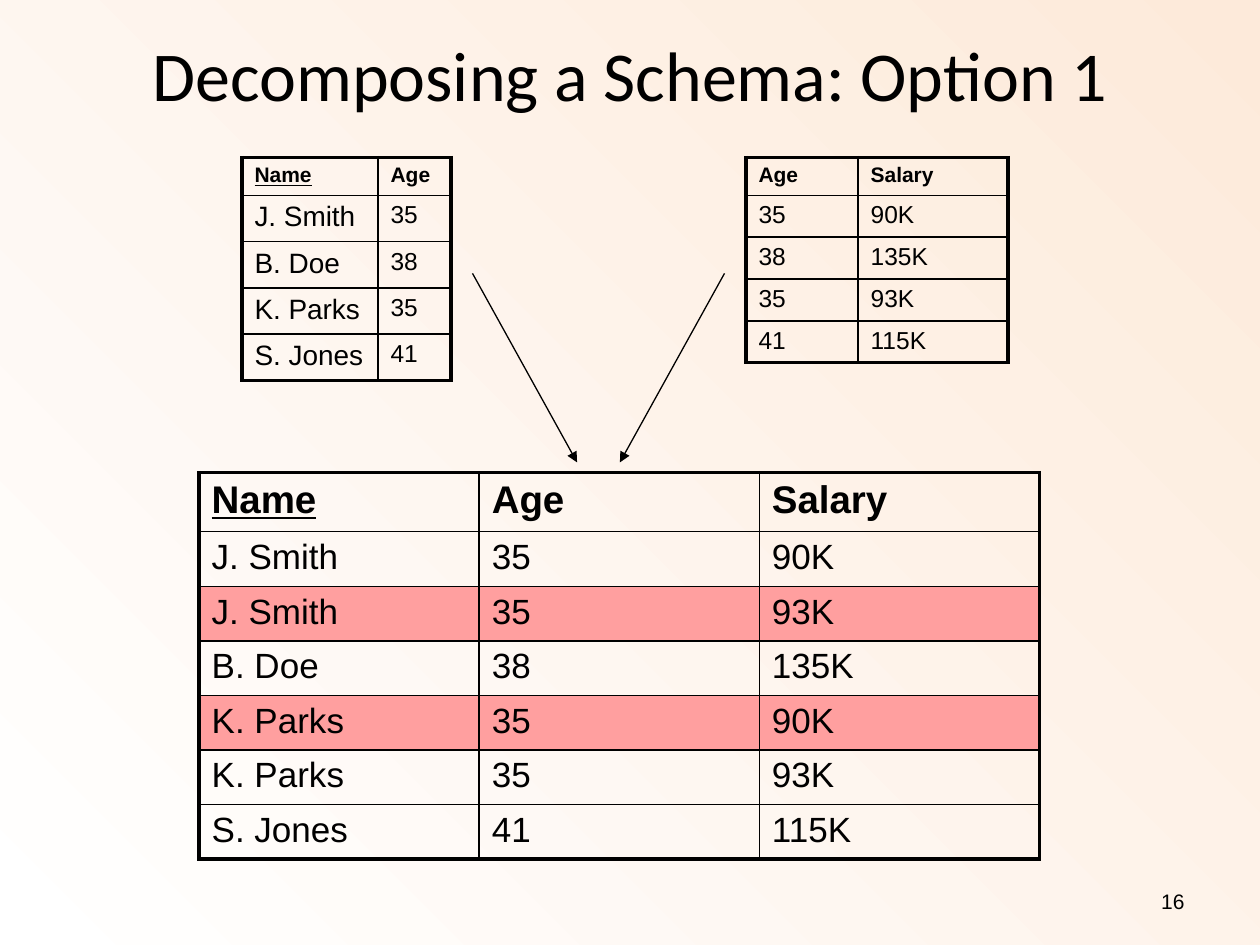
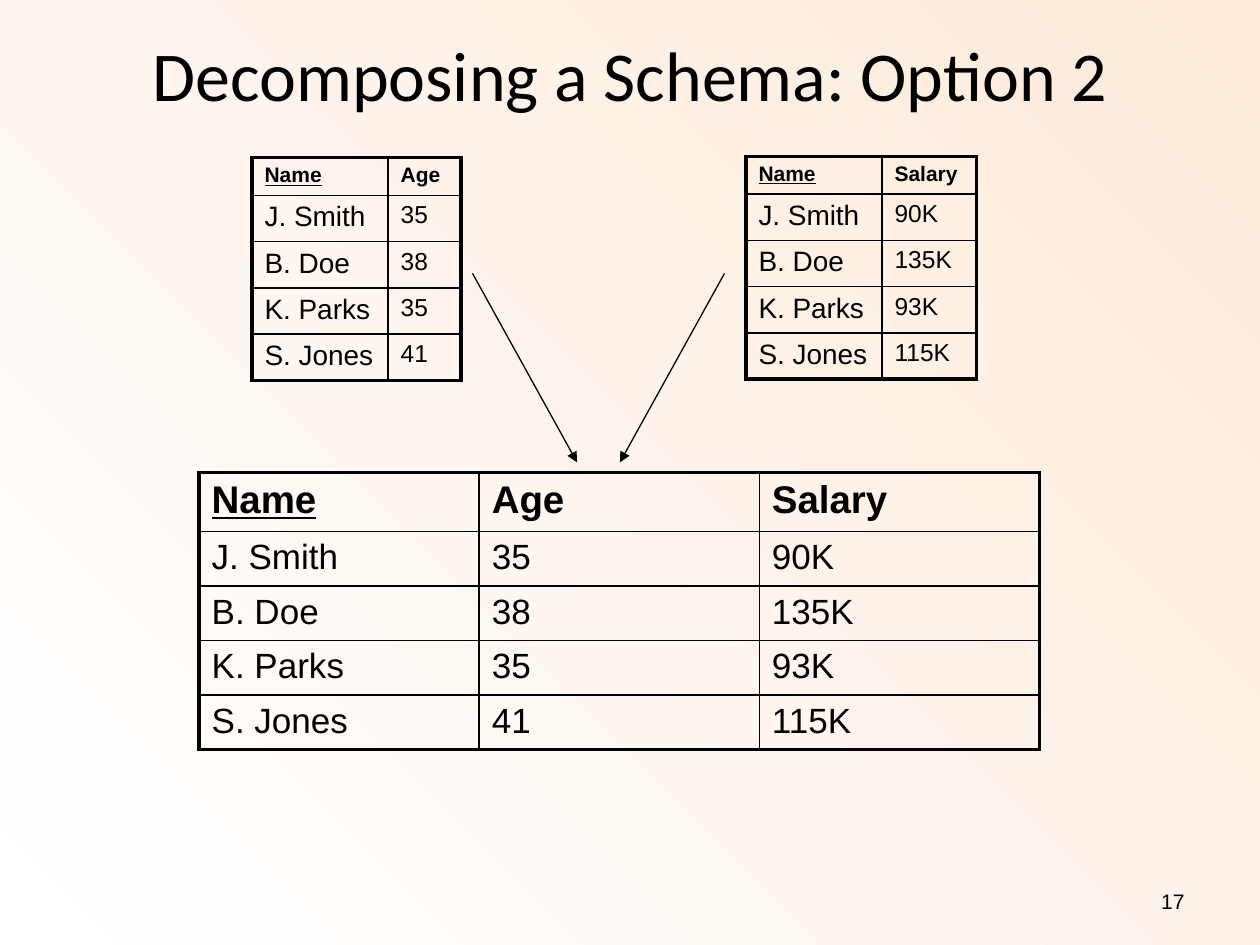
from dataclasses import dataclass

from lxml.etree import SubElement
from pptx import Presentation
from pptx.dml.color import RGBColor as RGB
from pptx.enum.shapes import MSO_CONNECTOR as LINK
from pptx.enum.text import MSO_ANCHOR as ANCHOR, MSO_AUTO_SIZE as FIT, PP_ALIGN as ALIGN
from pptx.oxml.ns import qn
from pptx.util import Inches, Pt


@dataclass(frozen=True)
class Theme:
    ink: RGB = RGB(0, 0, 0)
    white: RGB = RGB(255, 255, 255)
    peach: RGB = RGB(0xFD, 0xEA, 0xDA)
    pink: RGB = RGB(0xFF, 0x9F, 0x9F)
    head_font: str = "Calibri"
    body_font: str = "Arial"
    title: int = 40
    page: int = 12
    big: tuple = (22, 20, 20)  # header, names, other columns
    small: tuple = (12, 16, 14)
    thick: float = 2.25
    thin: float = 1
    arrow: float = 0.75


theme = Theme()


def style(frame, size, font=theme.body_font, align=ALIGN.LEFT):
    """Format the first paragraph of a text frame and return its font."""
    para = frame.paragraphs[0]
    para.alignment = align
    face = para.runs[0].font
    face.name, face.size, face.color.rgb = font, Pt(size), theme.ink
    return face


def add_grid(slide, box, widths, heads, rows, sizes, marked=()):
    """Add a table with a thick frame, thin inner lines and marked rows in pink."""
    left, top, height, head_high = box
    data = [heads, *rows]
    grid = slide.shapes.add_table(len(data), len(heads), Inches(left), Inches(top),
                                  Inches(sum(widths)), Inches(height)).table
    grid.first_row = grid.horz_banding = False
    for col, width in zip(grid.columns, widths):
        col.width = Inches(width)
    for i, row in enumerate(grid.rows):
        row.height = Inches((height - head_high) / len(rows) if i else head_high)
        for j, cell in enumerate(row.cells):
            named = heads[j] == "Name"
            cell.text_frame.text = data[i][j]
            size = sizes[0] if i == 0 else sizes[1] if named else sizes[2]
            face = style(cell.text_frame, size)
            face.bold = i == 0
            face.underline = i == 0 and named
            if data[i] in marked:
                cell.fill.solid()
                cell.fill.fore_color.rgb = theme.pink
            else:
                cell.fill.background()
            props = cell._tc.get_or_add_tcPr()
            outer = {"L": j == 0, "R": j == len(heads) - 1,
                     "T": i == 0, "B": i == len(data) - 1}
            for spot, (side, edge) in enumerate(outer.items()):
                line = SubElement(props, qn(f"a:ln{side}"),
                                  w=str(Pt(theme.thick if edge else theme.thin)))
                fill = SubElement(line, qn("a:solidFill"))
                SubElement(fill, qn("a:srgbClr"), val=str(theme.ink))
                props.insert(spot, line)


deck = Presentation()
deck.slide_width, deck.slide_height = Inches(10), Inches(7.5)

# Shared background: a round gradient that starts at the bottom left
master = deck.slide_master
back = master.background.fill
back.gradient()
for stop, color in zip(back.gradient_stops, (theme.white, theme.peach)):
    stop.color.rgb = color
grad = master.element.find(".//" + qn("a:gradFill"))
grad.remove(grad.find(qn("a:lin")))
curve = SubElement(grad, qn("a:path"), path="circle")
SubElement(curve, qn("a:fillToRect"), l="0", t="100000", r="100000", b="0")

# The full relation, and the parts each option splits it into
heads = ("Name", "Age", "Salary")
people = [
    ("J. Smith", "35", "90K"),
    ("B. Doe", "38", "135K"),
    ("K. Parks", "35", "93K"),
    ("S. Jones", "41", "115K"),
]
names_ages = [(name, age) for name, age, pay in people]
ages_pays = [(age, pay) for name, age, pay in people]
names_pays = [(name, pay) for name, age, pay in people]
joined = [(name, age, pay) for name, age in names_ages
          for key, pay in ages_pays if key == age]
false_rows = [row for row in joined if row not in people]

# Boxes hold left, top, height and header height
options = [
    dict(page=16, left=1.92, rows=joined, high=3.07,
         right=((5.92, 1.25, 1.63, 0.3), (0.89, 1.19), ("Age", "Salary"), ages_pays)),
    dict(page=17, left=2, rows=people, high=2.2,
         right=((5.92, 1.24, 1.77, 0.3), (1.08, 0.75), ("Name", "Salary"), names_pays)),
]

for num, opt in enumerate(options, 1):
    slide = deck.slides.add_slide(deck.slide_layouts[5])
    title = slide.shapes.title
    title.left, title.top = Inches(0.5), Inches(0.08)
    title.width, title.height = Inches(9), Inches(1)
    frame = title.text_frame
    frame.text = f"Decomposing a Schema: Option {num}"
    frame.auto_size, frame.vertical_anchor = FIT.NONE, ANCHOR.MIDDLE
    style(frame, theme.title, theme.head_font, ALIGN.CENTER)

    add_grid(slide, (1.58, 3.75, opt["high"], 0.47), (6.67 / 3,) * 3, heads,
             opt["rows"], theme.big, false_rows)
    add_grid(slide, (opt["left"], 1.25, 1.77, 0.3), (1.08, 0.58), heads[:2],
             names_ages, theme.small)
    add_grid(slide, *opt["right"], theme.small)

    for start, end in ((3.75, 4.58), (5.75, 4.92)):
        arrow = slide.shapes.add_connector(LINK.STRAIGHT, Inches(start), Inches(2.17),
                                           Inches(end), Inches(3.67))
        arrow.line.color.rgb, arrow.line.width = theme.ink, Pt(theme.arrow)
        props = arrow.element.spPr
        SubElement(props.find(qn("a:ln")), qn("a:tailEnd"), type="triangle")
        SubElement(props, qn("a:effectLst"))

    page = slide.shapes.add_textbox(Inches(7.17), Inches(6.95), Inches(2.33), Inches(0.4))
    frame = page.text_frame
    frame.text = str(opt["page"])
    frame.word_wrap, frame.vertical_anchor = True, ANCHOR.MIDDLE
    style(frame, theme.page, align=ALIGN.RIGHT)

deck.save("out.pptx")
